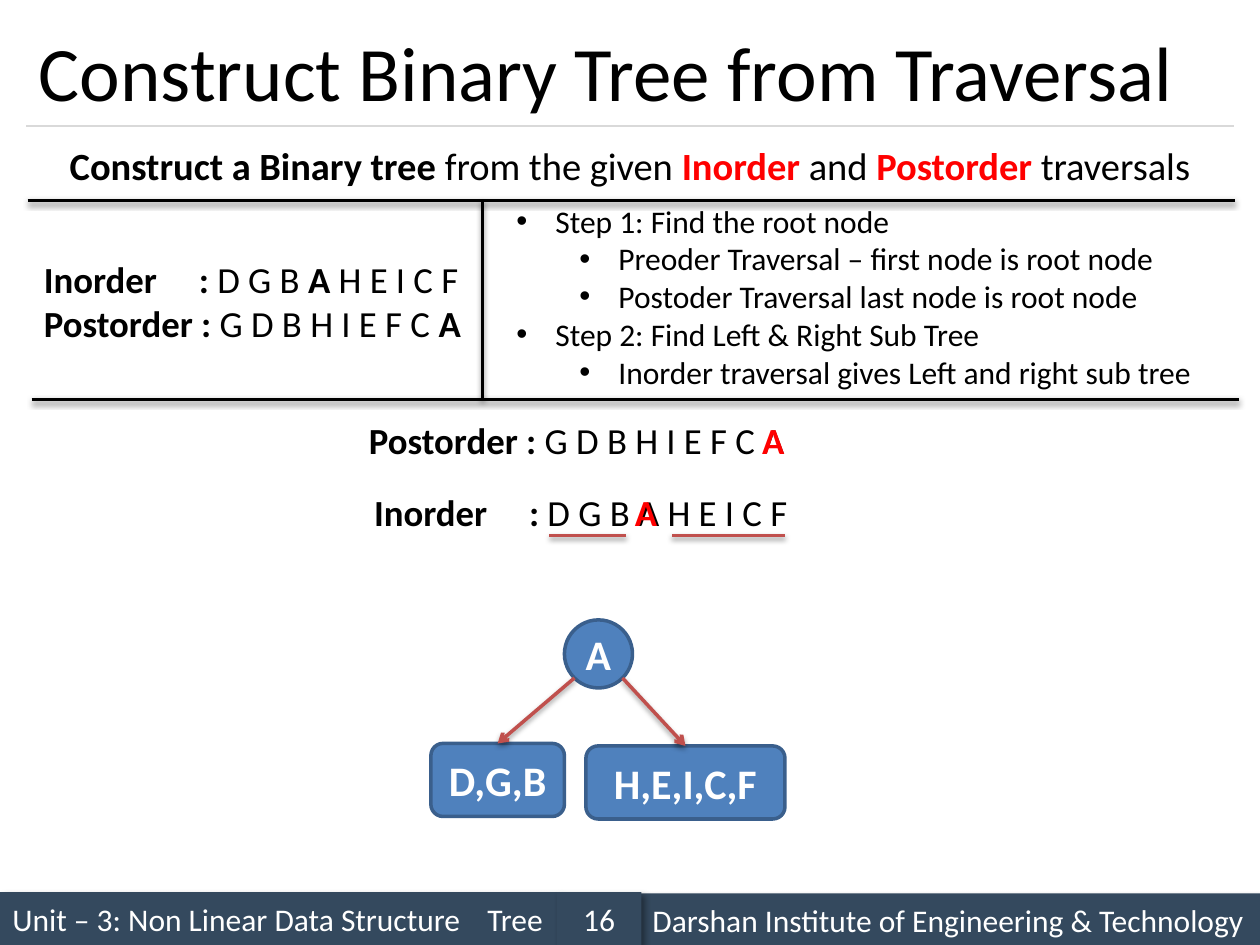
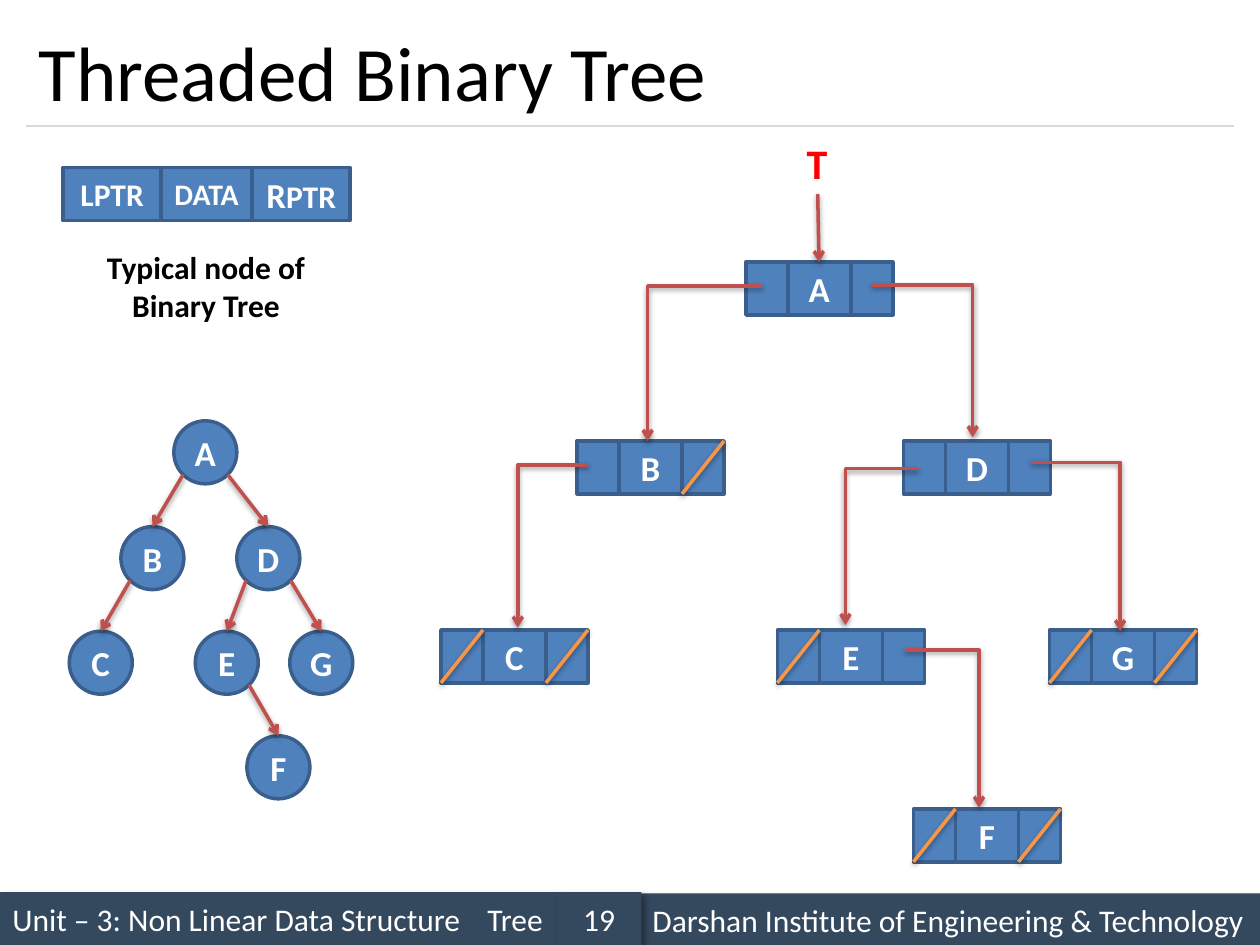
from lxml.etree import SubElement
from pptx import Presentation
from pptx.dml.color import RGBColor
from pptx.enum.shapes import MSO_CONNECTOR as Connector, MSO_SHAPE as Shape
from pptx.enum.text import MSO_ANCHOR as Anchor, MSO_AUTO_SIZE as AutoSize, PP_ALIGN as Align
from pptx.oxml.ns import qn
from pptx.util import Inches, Pt

FONT = "Calibri"
COLORS = {
    "text": "000000", "accent": "FF0000", "white": "FFFFFF", "band": "34495E",
    "rule": "D9D9D9", "node": "4F81BD", "outline": "3A5F8C",
    "arrow": "C0504D", "null": "F79646", "shadow": "000000",
}
# Opacity in percent, blur and distance in points, direction in degrees
BAND_SHADOW = (40, 4, 3, 45)
LINE_SHADOW = (38, 3.1, 1.6, 90)

BOLD = {"bold": True}
PLAIN = {"bold": False}
RED = {"bold": True, "color": "accent"}

# Shared footer
UNIT = "Unit – 3: Non Linear Data Structure\tTree"
INSTITUTE = "Darshan Institute of Engineering & Technology"

# Constructing a tree from its traversals
TASK = [("Construct a Binary tree ", BOLD), ("from the given ", PLAIN), ("Inorder ", RED),
        ("and ", PLAIN), ("Postorder ", RED), ("traversals", PLAIN)]
GIVEN = [
    [("Inorder\t: ", BOLD), ("D G B ", PLAIN), ("A", BOLD), (" H E I C F", PLAIN)],
    [("Postorder :", BOLD), (" G D B H I E F C ", PLAIN), ("A", BOLD)],
]
STEPS = [
    (0, "Step 1: Find the root node"),
    (1, "Preoder Traversal – first node is root node"),
    (1, "Postoder Traversal last node is root node"),
    (0, "Step 2: Find Left & Right Sub Tree"),
    (1, "Inorder traversal gives Left and right sub tree"),
]
TABLE_RULES = [(3.83, 1.59, 3.83, 3.17), (0.22, 1.59, 9.8, 1.59), (0.25, 3.17, 9.83, 3.17)]
TRAVERSALS = [
    ((2.87, 3.84, 3.59, 0.45), [("Inorder\t: ", BOLD), ("D G B A H E I C F", PLAIN)]),
    ((2.83, 3.27, 3.54, 0.45), [("Postorder :", BOLD), (" G D B H I E F C A", PLAIN)]),
    ((5.95, 3.27, 0.38, 0.45), [("A", RED)]),
    ((4.94, 3.84, 0.38, 0.45), [("A", RED)]),
]
SUBTREE_MARKS = [(4.97, 4.25, 4.36, 4.25), (6.23, 4.25, 5.33, 4.25)]
SPLIT_ROOT = ("A", (4.48, 4.92, 0.54, 0.54))
SPLIT_PARTS = [("H,E,I,C,F", (4.65, 5.92, 1.58, 0.58)), ("D,G,B", (3.42, 5.9, 1.06, 0.58))]

# Threaded tree: circles, then linked nodes with empty pointers struck through
CIRCLE = 0.5
CIRCLES = {"A": (1.38, 3.34), "B": (0.96, 4.18), "C": (0.55, 5.01), "E": (1.55, 5.01),
           "D": (1.88, 4.18), "G": (2.3, 5.01), "F": (1.96, 5.84)}
BRANCHES = ["AB", "BC", "AD", "DE", "DG", "EF"]
FIELDS = [
    (0.5, 0.78, [("LPTR", {"size": 18})]),
    (1.28, 0.72, [("DATA", {"size": 17})]),
    (2, 0.78, [("R", {"size": 20}), ("PTR", {"size": 18})]),
]
CELL_HEIGHT = 0.42
POINTER = 1 / 3
DATA = 0.5
# Left, top, and which pointers are empty
LINKED = {
    "A": (5.92, 2.08, ""), "B": (4.58, 3.5, "R"), "D": (7.17, 3.5, ""),
    "C": (3.5, 5, "LR"), "E": (6.17, 5, "L"), "G": (8.33, 5, "LR"),
    "F": (7.25, 6.42, "LR"),
}
# Start x, start y, turn x, end y
LINKS = [
    (6.05, 2.27, 5.14, 3.5), (4.67, 3.69, 4.11, 4.98), (6.92, 2.26, 7.72, 3.47),
    (7.29, 3.72, 6.71, 4.96), (8.18, 3.67, 8.89, 5.01), (7.18, 5.16, 7.77, 6.41),
]


def rgb(name):
    return RGBColor.from_string(COLORS[name])


def inches(values):
    return [Inches(value) for value in values]


def cast_shadow(shape, shadow):
    """Add an outer shadow; call after fill and line are set."""
    opacity, blur, distance, angle = shadow
    properties = shape._element.spPr
    effects = properties.find(qn("a:effectLst"))
    if effects is None:
        effects = SubElement(properties, qn("a:effectLst"))
    outer = SubElement(effects, qn("a:outerShdw"), blurRad=str(Pt(blur)), dist=str(Pt(distance)),
                       dir=str(angle * 60000), algn="ctr", rotWithShape="0")
    color = SubElement(outer, qn("a:srgbClr"), val=COLORS["shadow"])
    SubElement(color, qn("a:alpha"), val=str(opacity * 1000))


def style_line(shape, color, width=2, arrow=False):
    shape.line.color.rgb = rgb(color)
    shape.line.width = Pt(width)
    if arrow:
        SubElement(shape.line._get_or_add_ln(), qn("a:tailEnd"), type="arrow")


def write(shape, paragraphs, size=18, color="text", bold=False, align=Align.LEFT,
          anchor=Anchor.TOP, wrap=True, tab=None):
    """Fill a shape with paragraphs, each a list of (text, format changes)."""
    frame = shape.text_frame
    frame.word_wrap = wrap
    frame.vertical_anchor = anchor
    for index, spans in enumerate(paragraphs):
        para = frame.add_paragraph() if index else frame.paragraphs[0]
        para.alignment = align
        if tab:
            stops = SubElement(para._p.get_or_add_pPr(), qn("a:tabLst"))
            SubElement(stops, qn("a:tab"), pos=str(Inches(tab)), algn="l")
        for text, changes in spans:
            look = {"size": size, "color": color, "bold": bold, **changes}
            span = para.add_run()
            span.text = text
            span.font.name = FONT
            span.font.size = Pt(look["size"])
            span.font.bold = look["bold"]
            span.font.color.rgb = rgb(look["color"])


def add_text(page, place, paragraphs, grow=True, **style):
    box = page.shapes.add_textbox(*inches(place))
    write(box, paragraphs, **style)
    box.text_frame.auto_size = AutoSize.SHAPE_TO_FIT_TEXT if grow else AutoSize.NONE
    return box


def add_node(shapes, kind, place, spans=(), size=20):
    node = shapes.add_shape(kind, *inches(place))
    node.fill.solid()
    node.fill.fore_color.rgb = rgb("node")
    style_line(node, "outline")
    node.shadow.inherit = False
    if spans:
        write(node, [spans], size=size, color="white", bold=True, align=Align.CENTER,
              anchor=Anchor.MIDDLE, wrap=False)


def add_line(page, ends, color, width=2, arrow=False, shadow=LINE_SHADOW):
    line = page.shapes.add_connector(Connector.STRAIGHT, *inches(ends))
    style_line(line, color, width, arrow)
    if shadow:
        cast_shadow(line, shadow)
    else:
        SubElement(line._element.spPr, qn("a:effectLst"))


def add_branch(page, parent, child):
    """Arrow from a circle's lower side, at 45 degrees, to the child's top centre."""
    left, top, size, _ = parent
    target = child[0] + child[2] / 2
    center, reach = left + size / 2, size / 2 * 0.707
    side = 1 if target > center else -1
    add_line(page, (center + side * reach, top + size / 2 + reach, target, child[1]),
             "arrow", arrow=True)


def add_link(page, start_x, start_y, turn_x, end_y):
    outline = page.shapes.build_freeform(Inches(start_x), Inches(start_y))
    outline.add_line_segments([inches((turn_x, start_y)), inches((turn_x, end_y))], close=False)
    link = outline.convert_to_shape()
    link.fill.background()
    style_line(link, "arrow", arrow=True)
    link.shadow.inherit = False
    cast_shadow(link, LINE_SHADOW)


def add_band(page, place, text, **style):
    band = page.shapes.add_shape(Shape.RECTANGLE, *inches(place))
    band.fill.solid()
    band.fill.fore_color.rgb = rgb("band")
    band.line.fill.background()
    band.shadow.inherit = False
    cast_shadow(band, BAND_SHADOW)
    write(band, [[(text, {})]], color="white", anchor=Anchor.MIDDLE, **style)


def add_page(deck, title, number):
    page = deck.slides.add_slide(deck.slide_layouts[6])
    add_band(page, (0, 7.08, 4.42, 0.42), UNIT, tab=3.77)
    add_line(page, (0.21, 1, 9.79, 1), "rule", width=0.75, shadow=None)
    add_band(page, (5.08, 7.09, 4.92, 0.42), INSTITUTE)
    add_band(page, (4.42, 7.08, 0.67, 0.42), str(number), align=Align.CENTER)
    add_text(page, (0.21, 0.12, 9.58, 0.88), [[(title, {})]], grow=False, size=44,
             anchor=Anchor.MIDDLE)
    return page


def add_steps(page):
    box = add_text(page, (4, 1.55, 5.63, 1.62), [[(text, {})] for _, text in STEPS], wrap=False)
    for para, (level, _) in zip(box.text_frame.paragraphs, STEPS):
        para.level = level
        properties = para._p.get_or_add_pPr()
        properties.set("marL", str(Inches(0.31 + level * 0.5)))
        properties.set("indent", str(Inches(-0.31)))
        SubElement(properties, qn("a:buFont"), typeface="Arial")
        SubElement(properties, qn("a:buChar"), char="•")


def build_construction(deck):
    page = add_page(deck, "Construct Binary Tree from Traversal", 16)
    add_text(page, (0.25, 1.08, 9.5, 0.47), [TASK], size=22, align=Align.CENTER)
    add_text(page, (0.25, 1.99, 3.58, 0.81), GIVEN, size=21, wrap=False, tab=1.23)
    add_steps(page)
    for ends in TABLE_RULES:
        add_line(page, ends, "text")
    root, root_place = SPLIT_ROOT
    add_node(page.shapes, Shape.OVAL, root_place, [(root, {})], size=24)
    for text, place in SPLIT_PARTS:
        add_node(page.shapes, Shape.ROUNDED_RECTANGLE, place, [(text, {})], size=24)
    for _, place in SPLIT_PARTS:
        add_branch(page, root_place, place)
    for place, spans in TRAVERSALS:
        add_text(page, place, [spans], size=21, wrap=False, tab=1.23)
    for ends in SUBTREE_MARKS:
        add_line(page, ends, "arrow")


def build_threaded(deck):
    page = add_page(deck, "Threaded Binary Tree", 19)
    circles = {name: (*corner, CIRCLE, CIRCLE) for name, corner in CIRCLES.items()}
    for name, place in circles.items():
        add_node(page.shapes, Shape.OVAL, place, [(name, {})])
    for parent, child in BRANCHES:
        add_branch(page, circles[parent], circles[child])

    record = page.shapes.add_group_shape()
    for left, width, spans in FIELDS:
        add_node(record.shapes, Shape.RECTANGLE, (left, 1.33, width, CELL_HEIGHT), spans)
    add_text(page, (0.74, 1.92, 1.79, 0.71), [[("Typical node of", {})], [("Binary Tree", {})]],
             bold=True, align=Align.CENTER, wrap=False)

    for name, (left, top, _) in LINKED.items():
        cells = page.shapes.add_group_shape().shapes
        add_node(cells, Shape.RECTANGLE, (left + POINTER, top, DATA, CELL_HEIGHT), [(name, {})])
        for offset in (0, POINTER + DATA):
            add_node(cells, Shape.RECTANGLE, (left + offset, top, POINTER, CELL_HEIGHT))
    for link in LINKS:
        add_link(page, *link)
    for left, top, empty in LINKED.values():
        for side in empty:
            start = left + (POINTER + DATA if side == "R" else 0)
            add_line(page, (start + POINTER, top, start, top + CELL_HEIGHT), "null")
    add_text(page, (6.3, 1.04, 0.37, 0.5), [[("T", RED)]], size=24, align=Align.CENTER, wrap=False)
    add_line(page, (6.49, 1.54, 6.5, 2.08), "arrow", arrow=True)


def main():
    deck = Presentation()
    deck.slide_width, deck.slide_height = Inches(10), Inches(7.5)
    build_construction(deck)
    build_threaded(deck)
    deck.save("out.pptx")


if __name__ == "__main__":
    main()
